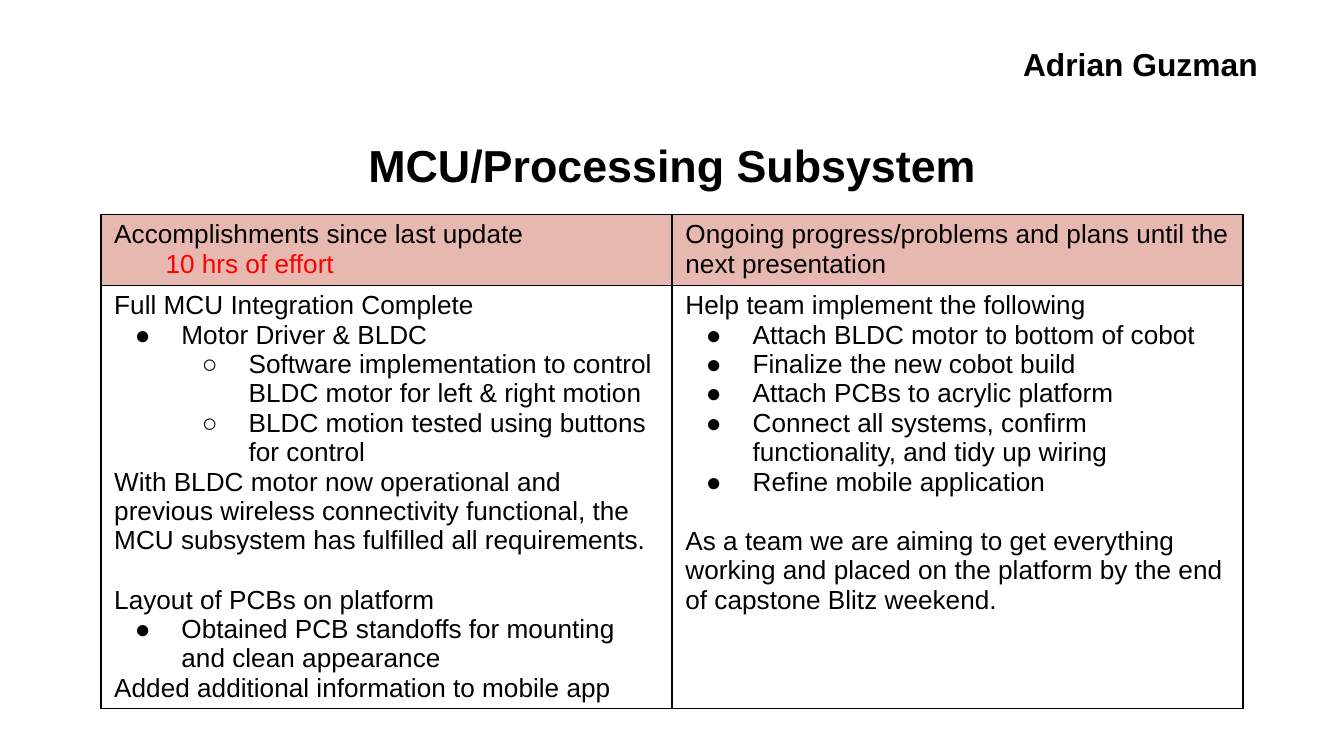
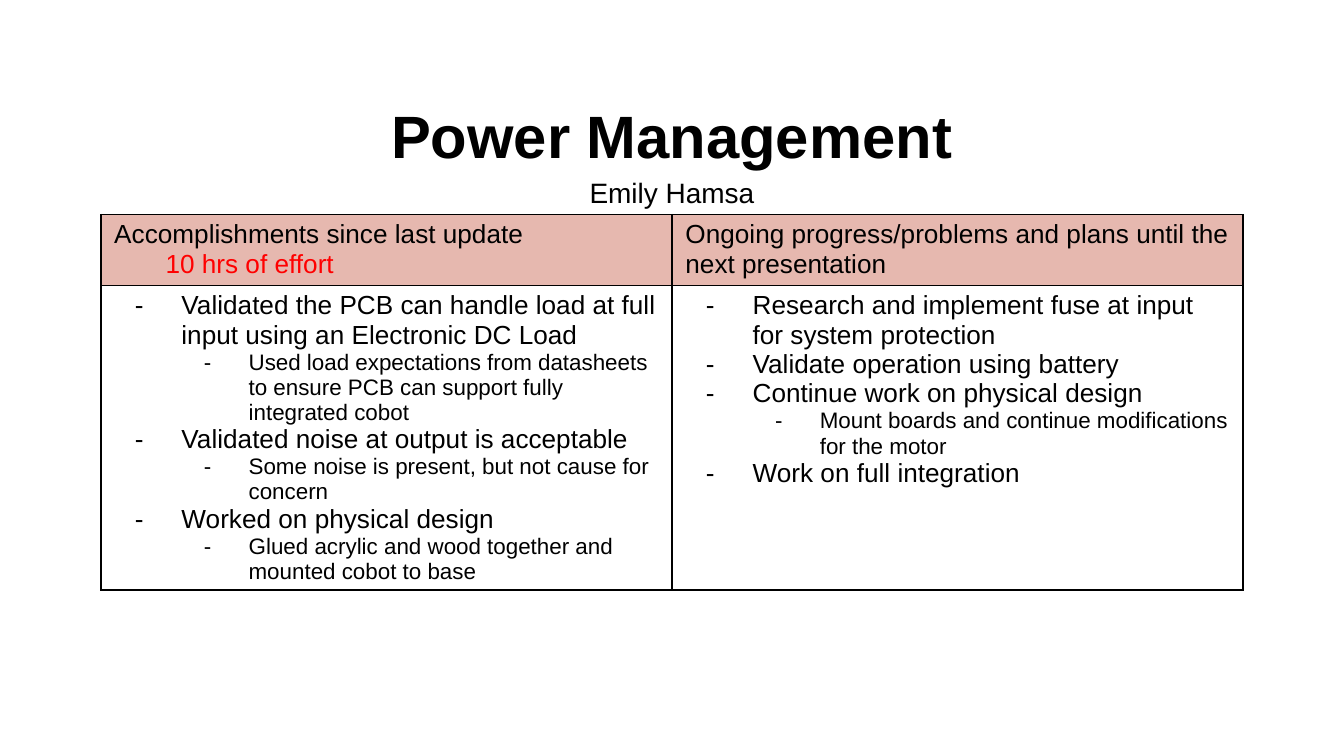
"""Build the two subsystem progress slides, each with a title and a status table."""
from lxml.etree import SubElement
from pptx import Presentation
from pptx.dml.color import RGBColor
from pptx.enum.text import MSO_ANCHOR, MSO_AUTO_SIZE, PP_ALIGN
from pptx.oxml.ns import qn
from pptx.util import Pt

FONT = "Arial"
BLACK, RED, ROSE = "000000", "FF0000", "E6B8AF"
BODY_SIZE = 14
COLUMN_WIDTH = 306
ROW_HEIGHTS = (38, 102)
BLANK_LINE = 16
EFFORT_INDENT = 27.5

HEADINGS = (
    [("Accomplishments since last update", {}),
     ("10 hrs of effort", {"color": RED, "left": EFFORT_INDENT})],
    [("Ongoing progress/problems and plans until the next presentation", {})],
)


def rgb(color):
    return RGBColor.from_string(color)


def dot(text):
    return text, {"bullet": "●", "left": 36, "hanging": 25}


def circle(text):
    return text, {"bullet": "○", "left": 72, "hanging": 25, "level": 1}


def dash(text):
    return text, {"bullet": "-", "left": 36, "hanging": 25}


def subdash(text):
    return text, {"bullet": "-", "left": 72, "hanging": 24, "level": 1, "size": 12}


def plain(text, before=None):
    return text, {"before": before}


def style_font(paragraph, size, color=BLACK, bold=False):
    font = paragraph.font
    font.name, font.size, font.bold = FONT, Pt(size), bold
    font.color.rgb = rgb(color)


def add_bullet(paragraph, char):
    properties = paragraph._p.get_or_add_pPr()
    bullet_color = SubElement(properties, qn("a:buClr"))
    SubElement(bullet_color, qn("a:srgbClr"), val=BLACK)
    SubElement(properties, qn("a:buFont"), typeface=FONT)
    SubElement(properties, qn("a:buChar"), char=char)


def write_line(paragraph, text, bullet=None, left=0, hanging=0, level=0,
               before=None, size=BODY_SIZE, color=BLACK):
    paragraph.text = text
    paragraph.level = level
    properties = paragraph._p.get_or_add_pPr()
    properties.set("marL", str(Pt(left)))
    properties.set("indent", str(-Pt(hanging)))
    if bullet:
        add_bullet(paragraph, bullet)
    if before:
        paragraph.space_before = Pt(before)
    style_font(paragraph, size, color)


def next_paragraph(frame, index):
    return frame.paragraphs[0] if index == 0 else frame.add_paragraph()


def add_borders(cell):
    properties = cell._tc.get_or_add_tcPr()
    for side in ("lnL", "lnR", "lnT", "lnB"):
        border = SubElement(properties, qn(f"a:{side}"), w=str(Pt(1)))
        fill = SubElement(border, qn("a:solidFill"))
        SubElement(fill, qn("a:srgbClr"), val=BLACK)


def fill_cell(cell, lines, color=None):
    cell.margin_left = cell.margin_right = Pt(7.2)
    cell.margin_top = cell.margin_bottom = Pt(3)
    add_borders(cell)
    if color:
        cell.fill.solid()
        cell.fill.fore_color.rgb = rgb(color)
    else:
        cell.fill.background()
    for index, (text, options) in enumerate(lines):
        write_line(next_paragraph(cell.text_frame, index), text, **options)


def add_status_table(slide, accomplishments, plans):
    table = slide.shapes.add_table(2, 2, Pt(54), Pt(115), Pt(2 * COLUMN_WIDTH),
                                   Pt(sum(ROW_HEIGHTS))).table
    table.first_row = table.horz_banding = False
    for row, height in zip(table.rows, ROW_HEIGHTS):
        row.height = Pt(height)
    for column, body in enumerate((accomplishments, plans)):
        table.columns[column].width = Pt(COLUMN_WIDTH)
        fill_cell(table.cell(0, column), HEADINGS[column], ROSE)
        fill_cell(table.cell(1, column), body)


def write_centered(frame, lines):
    for index, (text, size, bold) in enumerate(lines):
        paragraph = next_paragraph(frame, index)
        paragraph.text = text
        paragraph.alignment = PP_ALIGN.CENTER
        paragraph.line_spacing = 1.15
        paragraph.space_before = Pt(0)
        style_font(paragraph, size, bold=bold)


def add_titled_slide(deck, top, lines):
    slide = deck.slides.add_slide(deck.slide_layouts[5])
    title = slide.shapes.title
    title.left, title.top, title.width, title.height = Pt(36), Pt(top), Pt(648), Pt(47.5)
    frame = title.text_frame
    frame.auto_size = MSO_AUTO_SIZE.NONE
    frame.vertical_anchor = MSO_ANCHOR.MIDDLE
    write_centered(frame, lines)
    return slide


def add_presenter(slide, name):
    frame = slide.shapes.add_textbox(Pt(538), Pt(14), Pt(146), Pt(35)).text_frame
    frame.margin_left = frame.margin_right = Pt(7.2)
    frame.margin_top = frame.margin_bottom = Pt(7.2)
    frame.word_wrap = False
    write_centered(frame, [(name, 17, True)])


def main():
    deck = Presentation()
    deck.slide_width, deck.slide_height = Pt(720), Pt(405)

    processing = add_titled_slide(deck, 62, [("MCU/Processing Subsystem", 24, True)])
    add_status_table(
        processing,
        [plain("Full MCU Integration Complete"),
         dot("Motor Driver & BLDC"),
         circle("Software implementation to control BLDC motor for left & right motion"),
         circle("BLDC motion tested using buttons for control"),
         plain("With BLDC motor now operational and previous wireless connectivity "
               "functional, the MCU subsystem has fulfilled all requirements."),
         plain("Layout of PCBs on platform", BLANK_LINE),
         dot("Obtained PCB standoffs for mounting and clean appearance"),
         plain("Added additional information to mobile app")],
        [plain("Help team implement the following"),
         dot("Attach BLDC motor to bottom of cobot"),
         dot("Finalize the new cobot build"),
         dot("Attach PCBs to acrylic platform"),
         dot("Connect all systems, confirm functionality, and tidy up wiring"),
         dot("Refine mobile application"),
         plain("As a team we are aiming to get everything working and placed on the "
               "platform by the end of capstone Blitz weekend.", BLANK_LINE)])
    add_presenter(processing, "Adrian Guzman")

    power = add_titled_slide(
        deck, 56, [("Power Management", 32, True), ("Emily Hamsa", 15, False)])
    add_status_table(
        power,
        [dash("Validated the PCB can handle load at full input using an Electronic DC Load"),
         subdash("Used load expectations from datasheets to ensure PCB can support "
                 "fully integrated cobot"),
         dash("Validated noise at output is acceptable"),
         subdash("Some noise is present, but not cause for concern"),
         dash("Worked on physical design"),
         subdash("Glued acrylic and wood together and mounted cobot to base")],
        [dash("Research and implement fuse at input for system protection"),
         dash("Validate operation using battery"),
         dash("Continue work on physical design"),
         subdash("Mount boards and continue modifications for the motor"),
         dash("Work on full integration")])

    deck.save("out.pptx")


if __name__ == "__main__":
    main()
